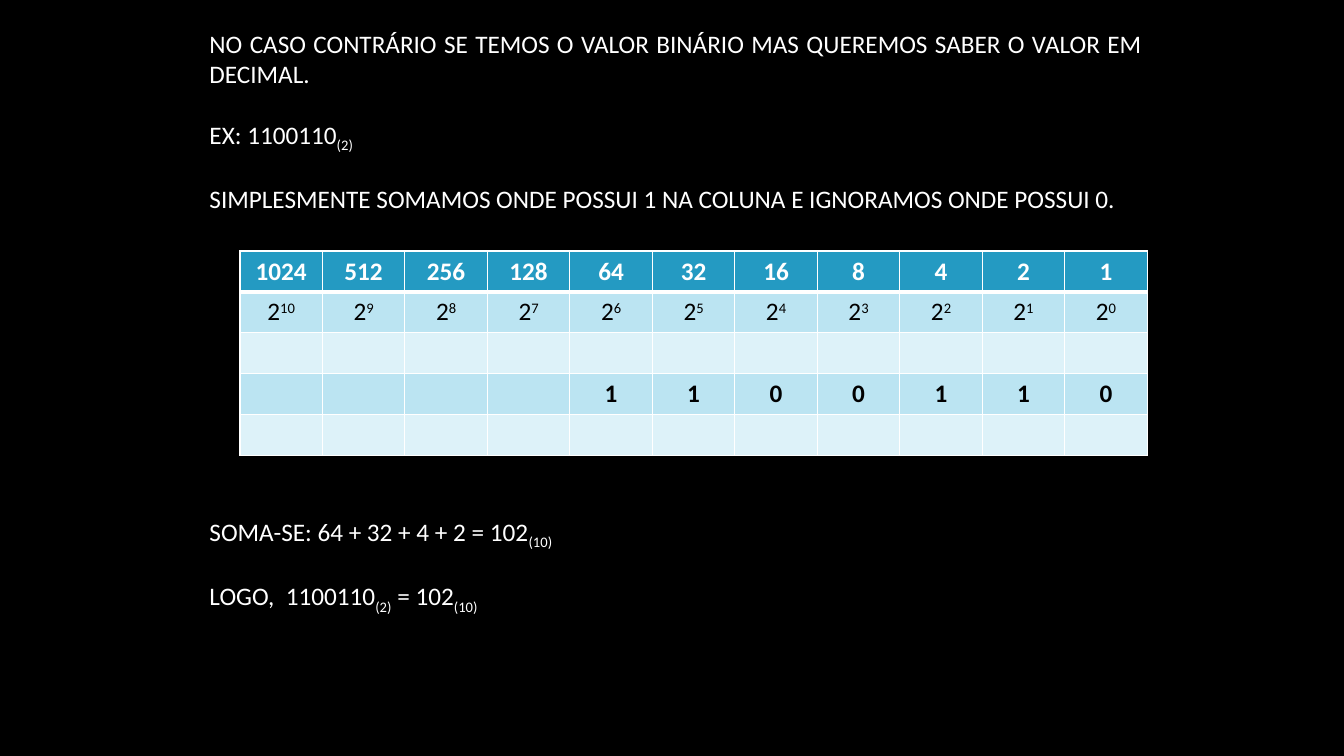
from lxml.etree import SubElement
from pptx import Presentation
from pptx.dml.color import RGBColor
from pptx.enum.text import MSO_AUTO_SIZE, PP_ALIGN
from pptx.oxml.ns import qn
from pptx.util import Inches, Pt

BLACK = RGBColor(0x00, 0x00, 0x00)
WHITE = RGBColor(0xFF, 0xFF, 0xFF)
BLUE = RGBColor(0x24, 0x9A, 0xC2)
SKY = RGBColor(0xBB, 0xE4, 0xF2)
PALE = RGBColor(0xDD, 0xF2, 0xF9)

FONT = "Calibri"
SIZE = Pt(18)
LINE = 21.6
SUB, SUPER = -25, 30
WIDTH, HEIGHT = Inches(13.33), Inches(7.5)

# Each line: blank lines of space above it, then its runs at alternating baselines
LINES = [
    (0, ["NO CASO CONTRÁRIO SE TEMOS O VALOR BINÁRIO MAS QUEREMOS SABER "
         "O VALOR EM DECIMAL."]),
    (1, ["EX: 1100110", "(2)"]),
    (1, ["SIMPLESMENTE SOMAMOS ONDE POSSUI 1 NA COLUNA E IGNORAMOS "
         "ONDE POSSUI 0."]),
    (10, ["SOMA-SE: 64 + 32 + 4 + 2 = 102", "(10)"]),
    (1, ["LOGO,  1100110", "(2)", " = 102", "(10)"]),
]
BITS = "1100110"
COLS = 11
FILLS = [BLUE, SKY, PALE, SKY, PALE]


def area(left, top, width, height):
    """Turn percentages of the slide into a box."""
    return (int(WIDTH * left / 100), int(HEIGHT * top / 100),
            int(WIDTH * width / 100), int(HEIGHT * height / 100))


def write(para, parts, color, shift=SUB, bold=False):
    """Fill a paragraph, shifting every second part off the baseline."""
    for i, part in enumerate(parts):
        run = para.add_run()
        run.text = part
        font = run.font
        font.name, font.size, font.bold = FONT, SIZE, bold
        font.color.rgb = color
        if i % 2:
            run._r.get_or_add_rPr().set("baseline", str(shift * 1000))


def add_text(slide, box):
    frame = slide.shapes.add_textbox(*box).text_frame
    frame.word_wrap = True
    frame.auto_size = MSO_AUTO_SIZE.SHAPE_TO_FIT_TEXT
    for i, (gap, parts) in enumerate(LINES):
        para = frame.add_paragraph() if i else frame.paragraphs[0]
        para.alignment = PP_ALIGN.JUSTIFY
        para.space_before = Pt(gap * LINE)
        write(para, parts, WHITE)


def add_edges(cell, row):
    """Draw white edges, thick between the header and the body."""
    props = cell._tc.get_or_add_tcPr()
    for side in "LRTB":
        thick = (row, side) in [(0, "B"), (1, "T")]
        line = SubElement(props, qn("a:ln" + side), w=str(Pt(3 if thick else 1)))
        fill = SubElement(line, qn("a:solidFill"))
        SubElement(fill, qn("a:srgbClr"), val=str(WHITE))


def cell_parts(row, col):
    power = COLS - 1 - col
    if row == 0:
        return [str(2 ** power)]
    if row == 1:
        return ["2", str(power)]
    if row == 3 and power < len(BITS):
        return [BITS[-1 - power]]
    return []


def add_powers(slide, box):
    table = slide.shapes.add_table(len(FILLS), COLS, *box).table
    table.horz_banding = False
    for row, fill in enumerate(FILLS):
        for col in range(COLS):
            cell = table.cell(row, col)
            add_edges(cell, row)
            cell.fill.solid()
            cell.fill.fore_color.rgb = fill
            para = cell.text_frame.paragraphs[0]
            para.alignment = PP_ALIGN.CENTER
            write(para, cell_parts(row, col), BLACK if row else WHITE,
                  SUPER, row != 1)


def main():
    deck = Presentation()
    deck.slide_width, deck.slide_height = WIDTH, HEIGHT
    slide = deck.slides.add_slide(deck.slide_layouts[6])
    back = slide.background.fill
    back.solid()
    back.fore_color.rgb = BLACK
    add_text(slide, area(14.85, 3.07, 70.89, 78.13))
    add_powers(slide, area(17.85, 33.2, 67.52, 27.07))
    deck.save("out.pptx")


if __name__ == "__main__":
    main()
